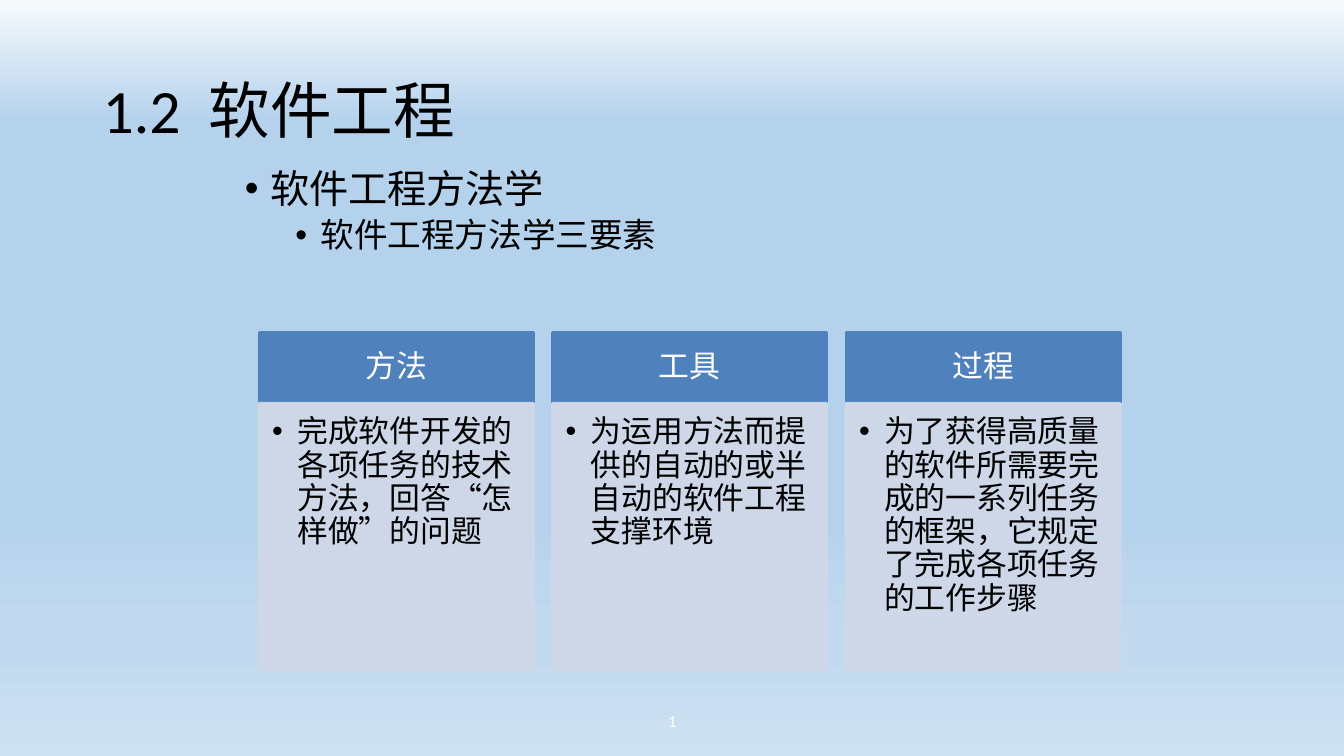
from dataclasses import dataclass

from lxml import etree
from pptx import Presentation
from pptx.dml.color import RGBColor
from pptx.enum.shapes import MSO_SHAPE
from pptx.enum.text import MSO_ANCHOR, PP_ALIGN
from pptx.oxml.ns import qn
from pptx.util import Emu, Pt

PX = 9144  # 100 px to the inch
RECTANGLE = MSO_SHAPE.RECTANGLE
TOP, MIDDLE = MSO_ANCHOR.TOP, MSO_ANCHOR.MIDDLE
LEFT, CENTER = PP_ALIGN.LEFT, PP_ALIGN.CENTER
LATIN, CHINESE = "Calibri", "Noto Sans CJK SC"
COLORS = {"text": "000000", "white": "FFFFFF", "header": "4F81BD", "panel": "D0D8E8"}
SKY = [(0, "F7FAFD"), (16, "B5D2EC"), (71, "B8D4ED"), (86, "C2DAEF"), (100, "CEE1F2")]
COLUMN_LEFT, COLUMN_PITCH, COLUMN_WIDTH = 257, 291, 272


@dataclass
class Box:
    left: int
    top: int
    width: int
    height: int
    insets: tuple[int, int, int, int] = (10, 5, 10, 5)
    anchor: MSO_ANCHOR = TOP


@dataclass
class Line:
    text: str
    size: int
    color: str = "text"
    font: str = LATIN
    align: PP_ALIGN = LEFT
    bullet_margin: int = 0
    space_before: int = 0
    spacing: float = 0.9
    wide_space: int = 0


@dataclass
class Element:
    heading: str
    description: str


ELEMENTS = [
    Element("方法", "完成软件开发的各项任务的技术方法，回答“怎样做”的问题"),
    Element("工具", "为运用方法而提供的自动的或半自动的软件工程支撑环境"),
    Element("过程", "为了获得高质量的软件所需要完成的一系列任务的框架，它规定了完成各项任务的工作步骤"),
]


def paint_background(slide) -> None:
    fill = slide.background.fill
    fill.gradient()
    fill.gradient_angle = 270
    stops = slide.element.find(".//" + qn("a:gsLst"))
    for stop in list(stops):
        stops.remove(stop)
    for percent, color in SKY:
        stop = etree.SubElement(stops, qn("a:gs"), pos=str(percent * 1000))
        etree.SubElement(stop, qn("a:srgbClr"), val=color)


def add_run(paragraph, text: str, line: Line):
    run = paragraph.add_run()
    run.text = text
    run.font.size = Pt(line.size)
    run.font.name = line.font
    run.font.color.rgb = RGBColor.from_string(COLORS[line.color])
    latin = run.font._element.find(qn("a:latin"))
    east_asian = etree.Element(qn("a:ea"), typeface=CHINESE)
    latin.addnext(east_asian)
    return run


def write(shape, box: Box, lines: list[Line]) -> None:
    frame = shape.text_frame
    frame.word_wrap = True
    frame.vertical_anchor = box.anchor
    (frame.margin_left, frame.margin_top,
     frame.margin_right, frame.margin_bottom) = (Emu(inset * PX) for inset in box.insets)
    for index, line in enumerate(lines):
        paragraph = frame.add_paragraph() if index else frame.paragraphs[0]
        if line.bullet_margin:
            properties = paragraph._p.get_or_add_pPr()
            properties.set("marL", str(line.bullet_margin * PX))
            properties.set("indent", str(-25 * PX))
            etree.SubElement(properties, qn("a:buFont"), typeface="Arial")
            etree.SubElement(properties, qn("a:buChar"), char="•")
        paragraph.alignment = line.align
        paragraph.line_spacing = line.spacing
        if line.space_before:
            paragraph.space_before = Pt(line.space_before)
        if line.wide_space:
            number, name = line.text.split(" ")
            add_run(paragraph, number, line)
            gap = add_run(paragraph, " ", line)
            gap.font._element.set("spc", str(line.wide_space * 100))
            add_run(paragraph, name, line)
        else:
            add_run(paragraph, line.text, line)


def add_text(slide, box: Box, lines: list[Line]) -> None:
    shape = slide.shapes.add_textbox(*(Emu(n * PX) for n in (box.left, box.top, box.width, box.height)))
    write(shape, box, lines)


def add_panel(slide, box: Box, color: str, opacity: int, line: Line) -> None:
    shape = slide.shapes.add_shape(
        RECTANGLE, *(Emu(n * PX) for n in (box.left, box.top, box.width, box.height)))
    shape.shadow.inherit = False
    shape.fill.solid()
    shape.line.width = Pt(2)
    for target in (shape.fill.fore_color, shape.line.color):
        target.rgb = RGBColor.from_string(COLORS[color])
    if opacity < 100:
        for rgb in shape._element.spPr.iter(qn("a:srgbClr")):
            etree.SubElement(rgb, qn("a:alpha"), val=str(opacity * 1000))
    write(shape, box, [line])


def add_element(slide, left: int, element: Element) -> None:
    """Draw one column: a heading bar above its description."""
    add_panel(slide, Box(left, 330, COLUMN_WIDTH, 69, (17, 10, 17, 10), MIDDLE), "header", 100,
              Line(element.heading, 22, "white", CHINESE, CENTER))
    add_panel(slide, Box(left, 400, COLUMN_WIDTH, 265, (13, 13, 17, 19)), "panel", 90,
              Line(element.description, 22, font=CHINESE, bullet_margin=25))


def main() -> None:
    presentation = Presentation()
    presentation.slide_width, presentation.slide_height = Emu(1333 * PX), Emu(750 * PX)
    slide = presentation.slides.add_slide(presentation.slide_layouts[6])
    paint_background(slide)
    add_text(slide, Box(92, 40, 1150, 145, anchor=MIDDLE), [Line("1.2 软件工程", 44, wide_space=10)])
    add_text(slide, Box(233, 163, 875, 120), [
        Line("软件工程方法学", 28, bullet_margin=25),
        Line("软件工程方法学三要素", 24, bullet_margin=75, space_before=5),
    ])
    add_text(slide, Box(442, 695, 450, 40, anchor=MIDDLE),
             [Line("1", 12, "white", align=CENTER, spacing=1.0)])
    for index, element in enumerate(ELEMENTS):
        add_element(slide, COLUMN_LEFT + index * COLUMN_PITCH, element)
    presentation.save("out.pptx")


if __name__ == "__main__":
    main()
